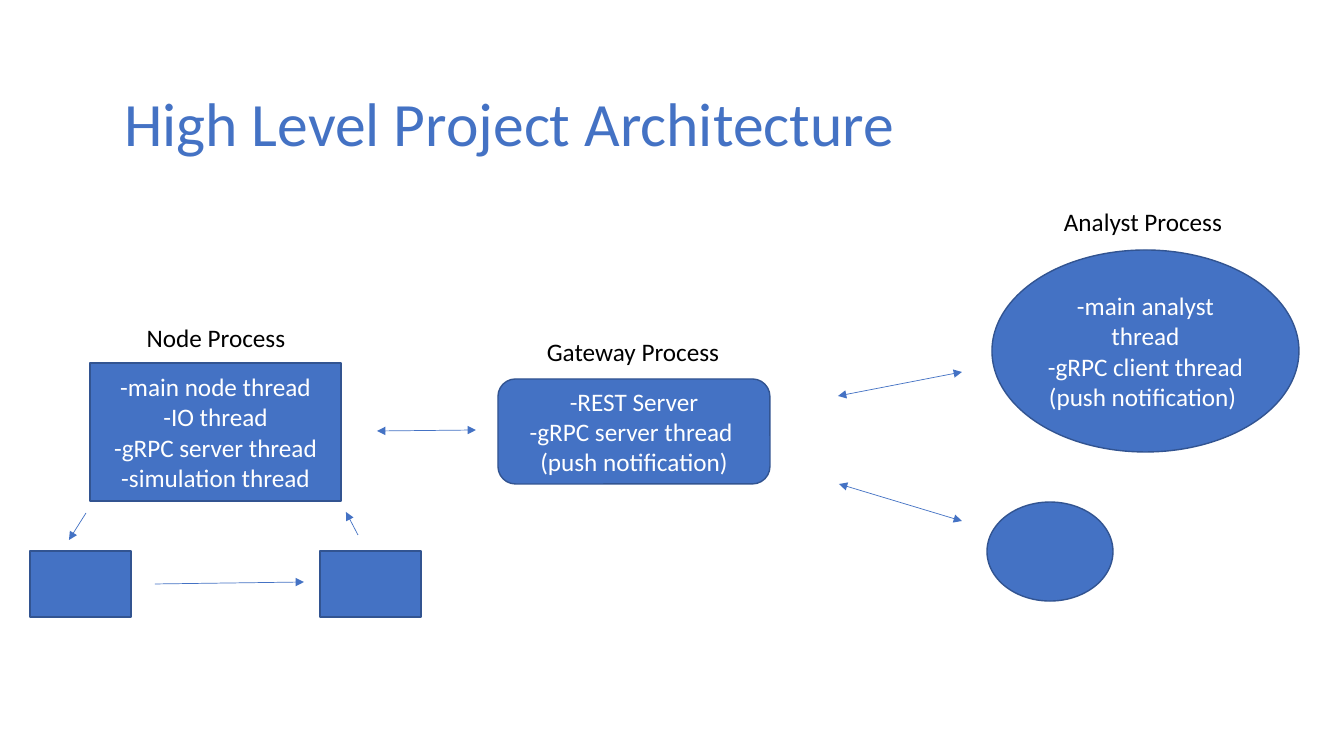
from pptx import Presentation
from pptx.dml.color import RGBColor
from pptx.enum.shapes import MSO_CONNECTOR, MSO_SHAPE
from pptx.enum.text import MSO_ANCHOR, PP_ALIGN
from pptx.oxml.ns import qn
from pptx.util import Pt
from lxml import etree

PX = 914400 / 100.8
BLUE, EDGE = "4472C4", "325491"


def color(code):
    return RGBColor.from_string(code)


def write(shape, text, size=18, ink="000000", align=PP_ALIGN.CENTER, anchor=MSO_ANCHOR.TOP):
    frame = shape.text_frame
    frame.word_wrap = True
    frame.vertical_anchor = anchor
    frame.text = text
    for para in frame.paragraphs:
        para.alignment = align
        for run in para.runs:
            run.font.name = "Calibri"
            run.font.size = Pt(size)
            run.font.color.rgb = color(ink)


deck = Presentation()
deck.slide_width, deck.slide_height = round(1344 * PX), round(756 * PX)
slide = deck.slides.add_slide(deck.slide_layouts[5])
shapes = slide.shapes

# Title
title = shapes.title
title.left, title.top, title.width, title.height = [round(n * PX) for n in (114, 80, 796, 85)]
write(title, "High Level Project Architecture", size=44, ink=BLUE, align=PP_ALIGN.LEFT)

# Process labels
labels = [
    ("Node Process", 126, 317, 180),
    ("Gateway Process", 533, 331, 200),
    ("Analyst Process", 1043, 201, 200),
]
for text, *box in labels:
    label = shapes.add_textbox(*[round(n * PX) for n in (*box, 40)])
    write(label, text)

# Nodes, gateway and analysts
RECT, ROUND, OVAL = MSO_SHAPE.RECTANGLE, MSO_SHAPE.ROUNDED_RECTANGLE, MSO_SHAPE.OVAL
parts = [
    (RECT, 90, 363, 251, 138,
     "-main node thread\n-IO thread\n-gRPC server thread\n-simulation thread"),
    (RECT, 30, 551, 101, 66, ""),
    (RECT, 320, 551, 101, 66, ""),
    (ROUND, 498, 379, 272, 105,
     "-REST Server\n-gRPC server thread\u00a0\n(push notification)"),
    (OVAL, 992, 250, 307, 202,
     "-main analyst thread\n-gRPC client thread (push notification) "),
    (OVAL, 987, 502, 126, 99, ""),
]
for kind, *box, text in parts:
    part = shapes.add_shape(kind, *[round(n * PX) for n in box])
    part.shadow.inherit = False
    part.fill.solid()
    part.fill.fore_color.rgb = color(BLUE)
    part.line.color.rgb = color(EDGE)
    part.line.width = Pt(1)
    write(part, text, ink="FFFFFF", anchor=MSO_ANCHOR.MIDDLE)

# Arrows: the node ring points one way, the other links both ways
ONE, BOTH = ["tailEnd"], ["headEnd", "tailEnd"]
links = [
    (86, 513, 69, 540, ONE),
    (155, 584, 304, 582, ONE),
    (358, 535, 346, 512, ONE),
    (377, 431, 476, 430, BOTH),
    (838, 396, 962, 372, BOTH),
    (839, 484, 962, 521, BOTH),
]
for *ends, tips in links:
    link = shapes.add_connector(MSO_CONNECTOR.STRAIGHT, *[round(n * PX) for n in ends])
    link.line.color.rgb = color(BLUE)
    link.line.width = Pt(0.5)
    for tip in tips:
        etree.SubElement(link.line._get_or_add_ln(), qn("a:" + tip), type="triangle")
    etree.SubElement(link._element.spPr, qn("a:effectLst"))

deck.save("out.pptx")
